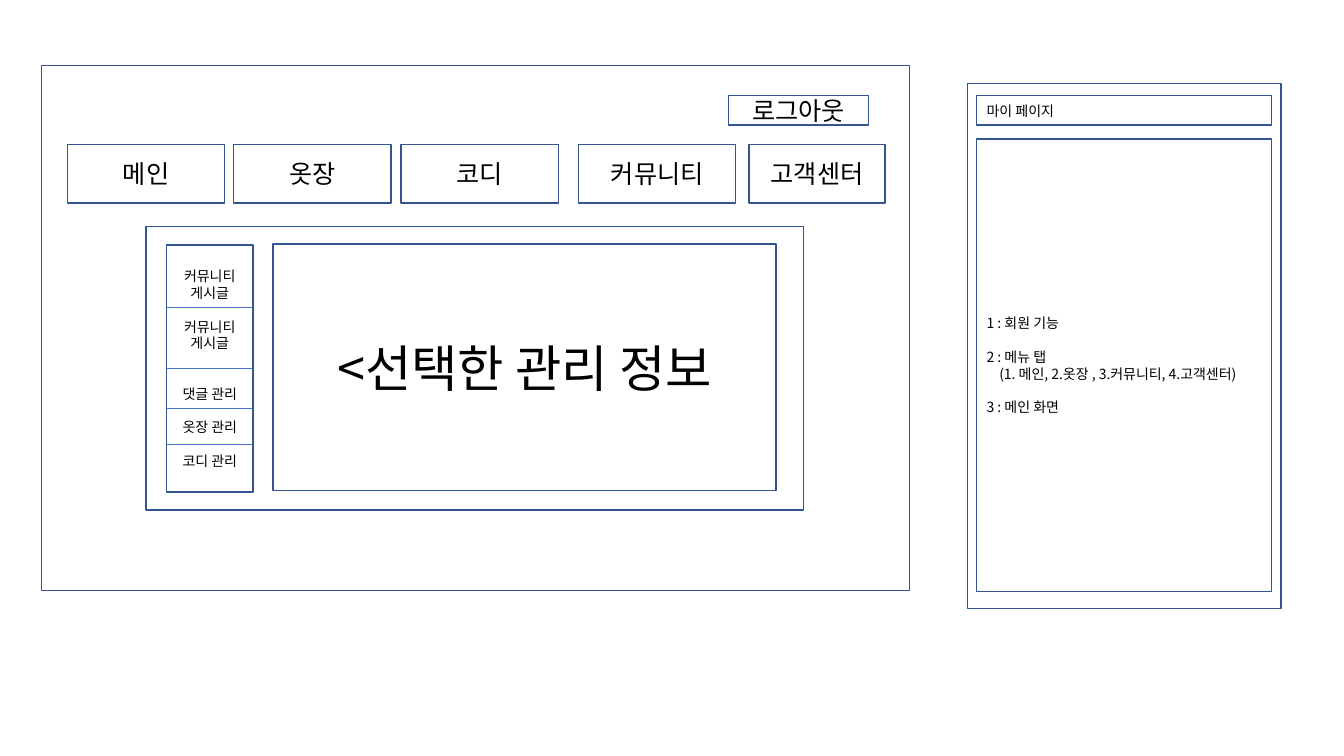
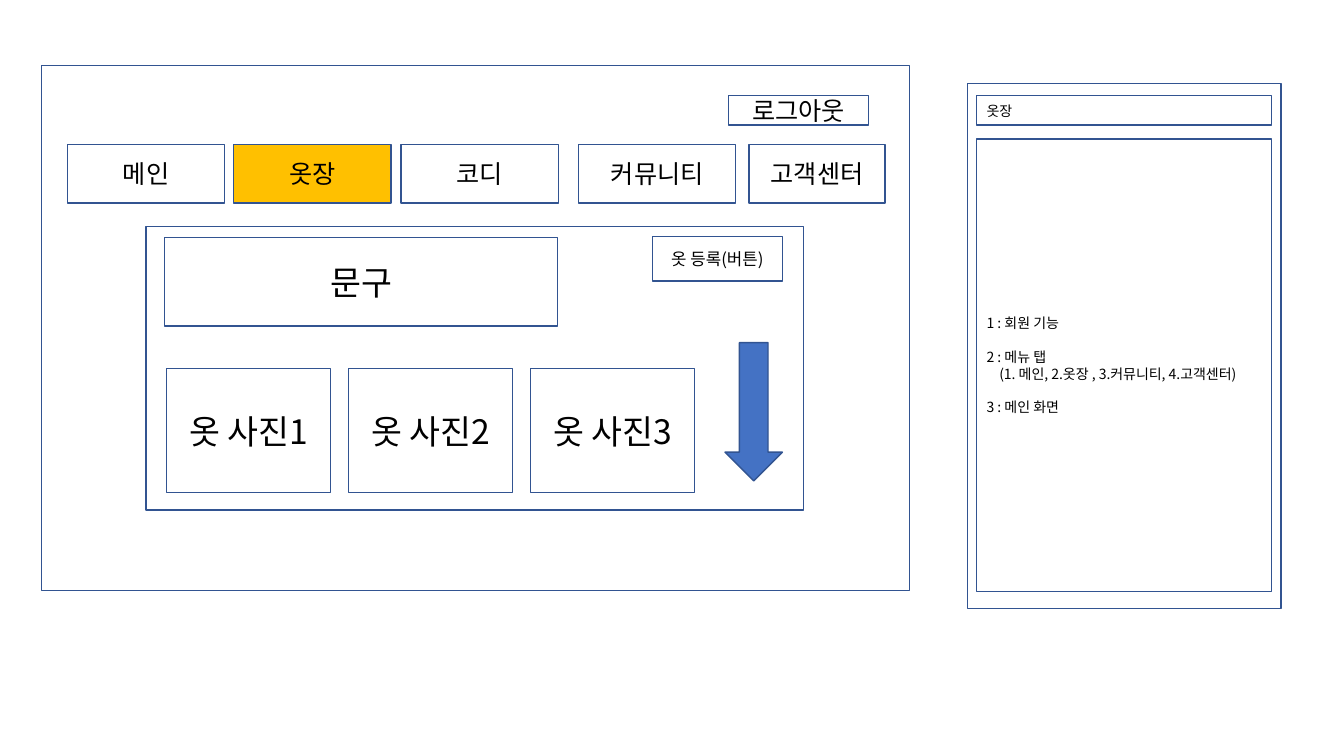
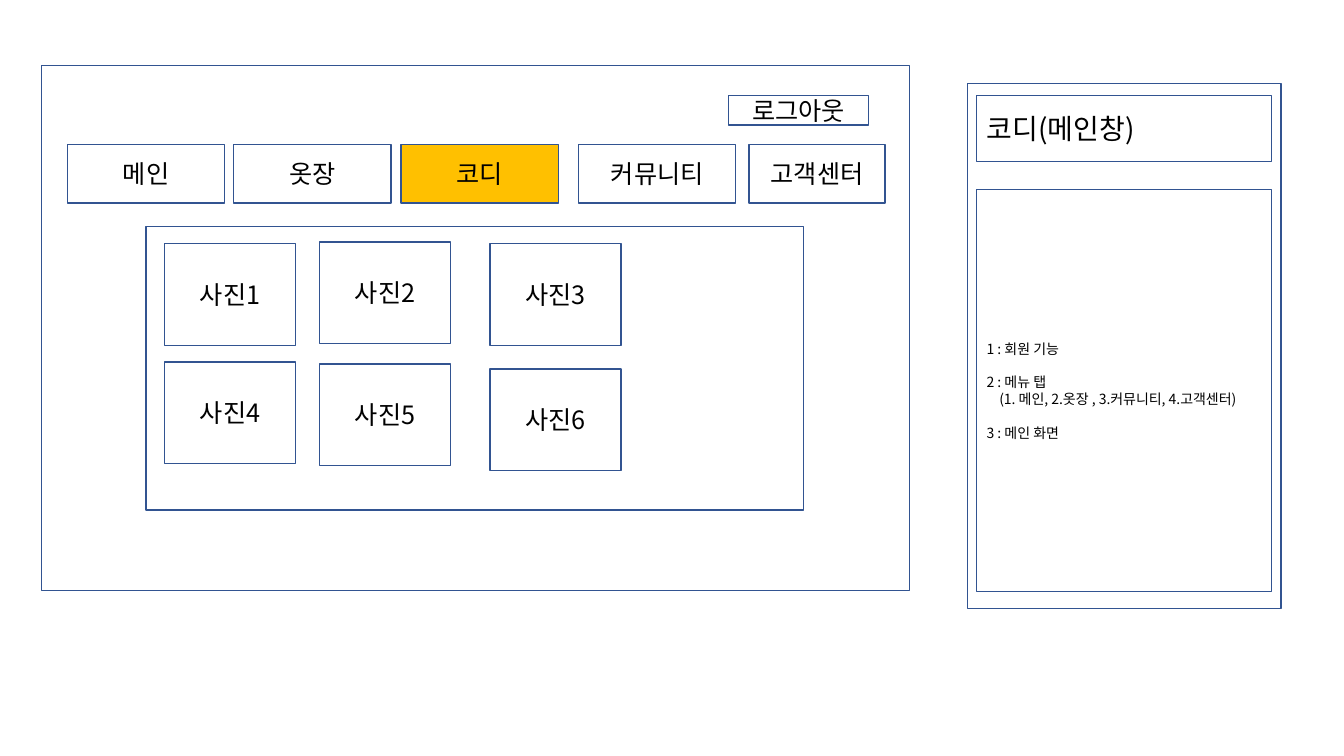
from lxml.etree import SubElement
from pptx import Presentation
from pptx.dml.color import RGBColor
from pptx.enum.shapes import MSO_CONNECTOR, MSO_SHAPE
from pptx.enum.text import MSO_ANCHOR, PP_ALIGN
from pptx.oxml.ns import qn
from pptx.util import Pt

COLORS = {"paper": "FFFFFF", "outline": "325491", "accent": "4472C4",
          "active": "FFC000", "text": "000000"}
FONT = "Noto Sans CJK KR"
WINDOW = (29.5, 46.8, 620, 375)
NOTES = (691.2, 59.8, 224, 375)
CONTENT = (104.4, 162, 469.4, 202.3)
MENU = [("메인", 18.7, 112.3), ("옷장", 137.5, 112.3), ("코디", 257, 112.3),
        ("커뮤니티", 383.8, 112.3), ("고객센터", 505.5, 97.2)]
FEATURES = [("1 : 회원 기능", 0, 0), ("2 : 메뉴 탭", 12, 0),
            ("(1. 메인, 2.옷장 , 3.커뮤니티, 4.고객센터)", 0, 9),
            ("3 : 메인 화면", 12, 0)]
MANAGE = [("커뮤니티", 0, 0), ("게시글", 0, 0), ("커뮤니티 게시글", 12, 0),
          ("댓글 관리", 24, 0), ("옷장 관리", 12, 0), ("코디 관리", 12, 0)]


def rgb(name):
    return RGBColor.from_string(COLORS[name])


def add_outlined(s, box, fill="paper", kind=MSO_SHAPE.RECTANGLE):
    sp = s.shapes.add_shape(kind, *map(Pt, box))
    sp.shadow.inherit = False
    sp.fill.solid()
    sp.fill.fore_color.rgb = rgb(fill)
    sp.line.color.rgb = rgb("outline")
    sp.line.width = Pt(1)
    return sp


def add_text_box(s, box, lines, size, align=PP_ALIGN.CENTER, fill="paper"):
    tf = add_outlined(s, box, fill).text_frame
    tf.word_wrap = True
    tf.vertical_anchor = MSO_ANCHOR.MIDDLE
    for i, (text, gap, indent) in enumerate(lines):
        p = tf.add_paragraph() if i else tf.paragraphs[0]
        p.text = text
        p.alignment = align
        p.space_before = Pt(gap)
        p.line_spacing = Pt(size * 1.2)
        p.font.size = Pt(size)
        p.font.color.rgb = rgb("text")
        p.font.name = FONT
        pPr = p._p.get_or_add_pPr()
        SubElement(pPr.find(qn("a:defRPr")), qn("a:ea")).set("typeface", FONT)
        if indent:
            pPr.set("marL", "0")
            pPr.set("indent", str(Pt(indent)))


def add_label(s, box, text, size, **style):
    add_text_box(s, box, [(text, 0, 0)], size, **style)


def add_divider(s, x, y, w):
    line = s.shapes.add_connector(MSO_CONNECTOR.STRAIGHT, Pt(x), Pt(y), Pt(x + w), Pt(y))
    line.line.color.rgb = rgb("accent")
    line.line.width = Pt(0.5)
    SubElement(line._element.spPr, qn("a:effectLst"))


def add_window(s, box, active):
    x, y, w, h = box
    add_outlined(s, box)
    add_label(s, (x + 491, y + 21.6, 100, 21), "로그아웃", 18)
    for name, dx, width in MENU:
        add_label(s, (x + dx, y + 56.3, width, 42), name, 18,
                  fill="active" if name == active else "paper")


def add_notes(s, box, title, size, title_h, gap):
    x, y, w, h = box
    left, top, width = x + 6.5, y + 8.6, w - 13.6
    body_top = top + title_h + gap
    add_outlined(s, box)
    add_label(s, (left, top, width, title_h), title, size, align=PP_ALIGN.LEFT)
    add_text_box(s, (left, body_top, width, y + h - 12.4 - body_top),
                 FEATURES, 10, align=PP_ALIGN.LEFT)


def add_my_page(s, box):
    x, y, w, h = box
    add_text_box(s, (x + 14.4, y + 13, 62, 176.4), MANAGE, 10)
    add_label(s, (x + 90.7, y + 12.2, 359.3, 176.4), "<선택한 관리 정보", 36)
    for dy in (57.6, 101.4, 129.6, 155.5):
        add_divider(s, x + 13.9, y + dy, 62.5)


def add_wardrobe(s, box):
    x, y, w, h = box
    for i in range(3):
        add_label(s, (x + 14.4 + 130 * i, y + 101.3, 117.5, 88.6), f"옷 사진{i + 1}", 24)
    add_label(s, (x + 13, y + 7.5, 281, 63.4), "문구", 24)
    add_outlined(s, (x + 413.5, y + 82.8, 41, 98.7), "accent", MSO_SHAPE.DOWN_ARROW)
    add_label(s, (x + 361.5, y + 7, 93, 31.7), "옷 등록(버튼)", 12)


def add_outfits(s, box):
    x, y, w, h = box
    columns = [(13, (12, 96.5)), (123.8, (10.8, 98)), (245.5, (12, 101.5))]
    for row in range(2):
        for col, (dx, tops) in enumerate(columns):
            add_label(s, (x + dx, y + tops[row], 93.8, 72.7), f"사진{3 * row + col + 1}", 18)


def add_screen(prs, active, add_content, title, size=10, title_h=21, gap=10):
    s = prs.slides.add_slide(prs.slide_layouts[6])
    add_window(s, WINDOW, active)
    add_notes(s, NOTES, title, size, title_h, gap)
    add_outlined(s, CONTENT)
    add_content(s, CONTENT)


prs = Presentation()
prs.slide_width, prs.slide_height = Pt(960), Pt(540)
add_screen(prs, None, add_my_page, "마이 페이지")
add_screen(prs, "옷장", add_wardrobe, "옷장")
add_screen(prs, "코디", add_outfits, "코디(메인창)", size=20, title_h=46.8, gap=20.2)
prs.save("out.pptx")
